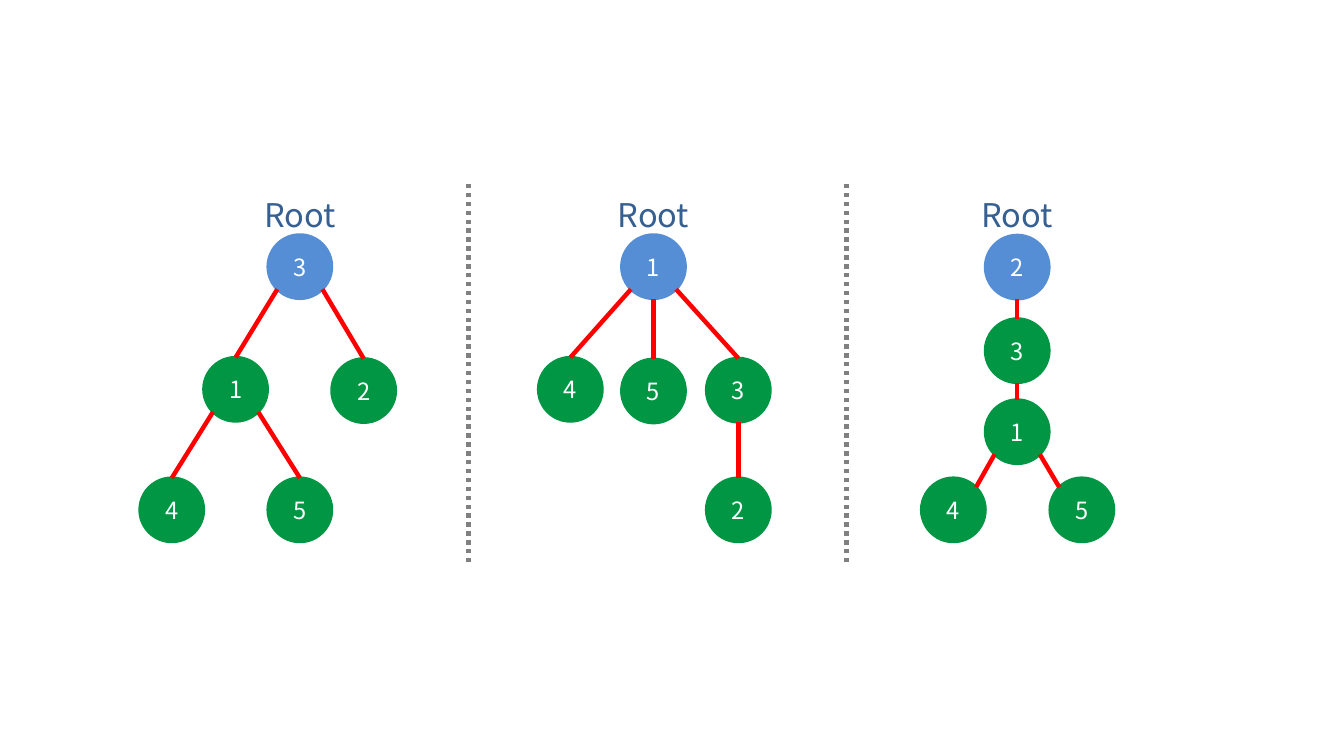
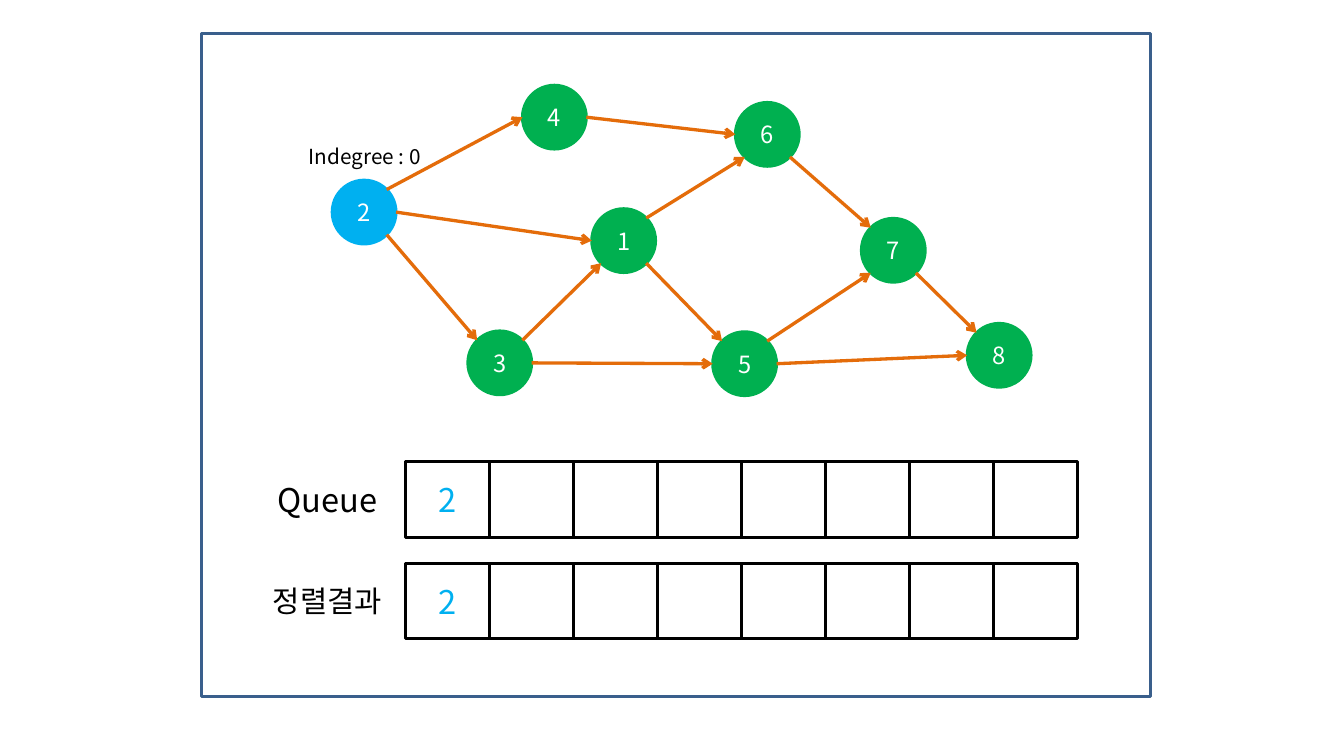
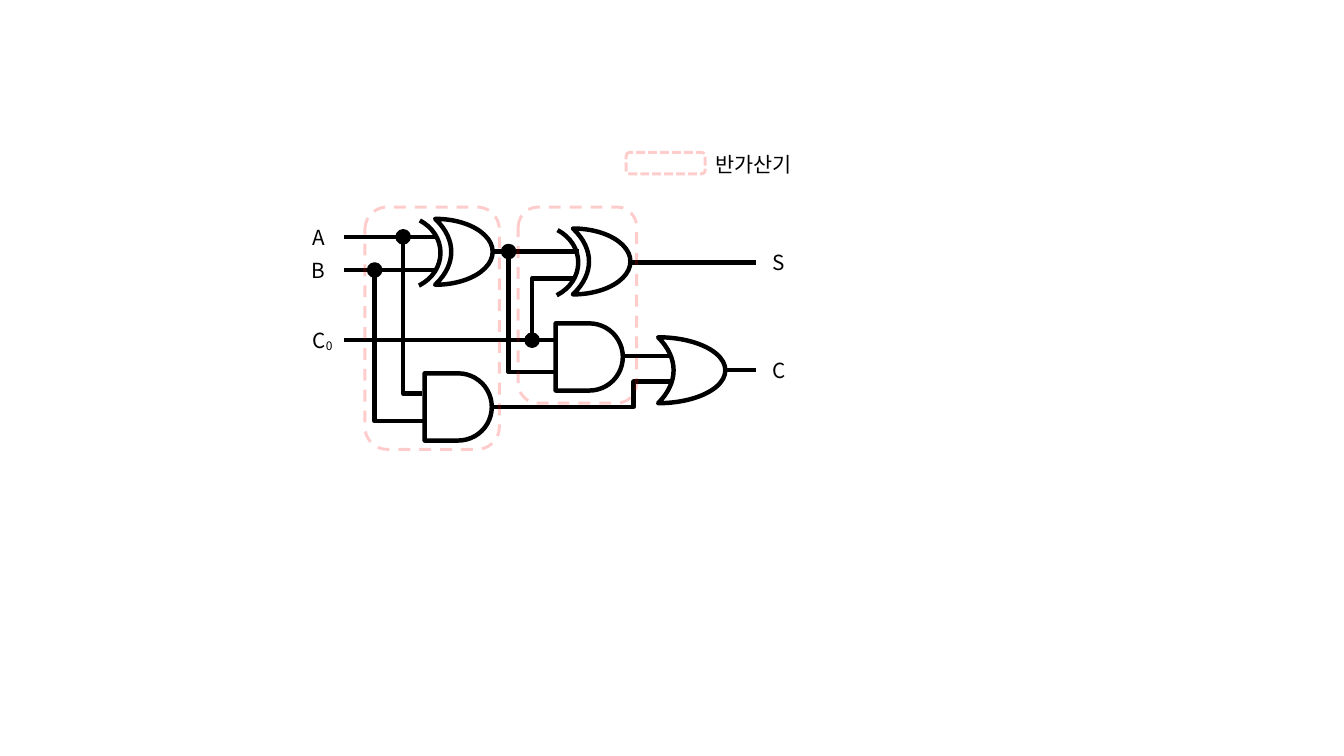
from math import cos, radians, sin

from lxml import etree
from pptx import Presentation
from pptx.dml.color import RGBColor
from pptx.enum.dml import MSO_LINE
from pptx.enum.shapes import MSO_CONNECTOR, MSO_SHAPE
from pptx.enum.text import MSO_ANCHOR, PP_ALIGN
from pptx.oxml.ns import qn
from pptx.util import Cm, Pt

FONT = "Noto Sans CJK KR"
COLORS = {
    "root": "558ED5",
    "tree_node": "009644",
    "edge": "FF0000",
    "root_label": "376092",
    "divider": "808080",
    "graph_node": "00B050",
    "active": "00B0F0",
    "arrow": "E46C0A",
    "frame": "3A5F8C",
    "half_adder": "FF0000",
    "black": "000000",
    "white": "FFFFFF",
}
STRAIGHT = MSO_CONNECTOR.STRAIGHT
ELBOW = MSO_CONNECTOR.ELBOW
OVAL = MSO_SHAPE.OVAL
RECTANGLE = MSO_SHAPE.RECTANGLE
ROUNDED = MSO_SHAPE.ROUNDED_RECTANGLE
AND_GATE = MSO_SHAPE.FLOWCHART_DELAY
MOON = MSO_SHAPE.MOON
ARC = MSO_SHAPE.ARC
DASH = MSO_LINE.DASH
SHORT_DASH = MSO_LINE.SQUARE_DOT
DOTTED = MSO_LINE.ROUND_DOT
CENTER = PP_ALIGN.CENTER
MIDDLE = MSO_ANCHOR.MIDDLE

RADIUS = 0.76
TOP, TOP_LEFT, LEFT, BOTTOM_LEFT, BOTTOM, BOTTOM_RIGHT, RIGHT, TOP_RIGHT = range(8)

TREES = [
    (
        {"3": (7.14, 6.35), "1": (5.61, 9.27), "2": (8.66, 9.3),
         "4": (4.09, 12.14), "5": (7.14, 12.14)},
        [("3", BOTTOM_LEFT, "1", TOP), ("3", BOTTOM_RIGHT, "2", TOP),
         ("1", BOTTOM_LEFT, "4", TOP), ("1", BOTTOM_RIGHT, "5", TOP)],
    ),
    (
        {"1": (15.56, 6.35), "4": (13.58, 9.27), "5": (15.56, 9.31),
         "3": (17.58, 9.29), "2": (17.58, 12.14)},
        [("1", BOTTOM_LEFT, "4", TOP), ("1", BOTTOM, "5", TOP),
         ("1", BOTTOM_RIGHT, "3", TOP), ("3", BOTTOM, "2", TOP)],
    ),
    (
        {"2": (24.22, 6.36), "3": (24.22, 8.35), "1": (24.22, 10.28),
         "4": (22.7, 12.14), "5": (25.76, 12.14)},
        [("2", BOTTOM, "3", TOP), ("3", BOTTOM, "1", TOP),
         ("1", BOTTOM_LEFT, "4", TOP_RIGHT), ("1", BOTTOM_RIGHT, "5", TOP_LEFT)],
    ),
]
GRAPH_NODES = {
    "2": (8.67, 5.05), "1": (14.85, 5.73), "3": (11.9, 8.64), "4": (13.2, 2.79),
    "6": (18.27, 3.2), "5": (17.73, 8.66), "8": (23.79, 8.46), "7": (21.27, 5.96),
}
GRAPH_EDGES = [
    ("2", RIGHT, "1", LEFT), ("2", TOP_RIGHT, "4", LEFT),
    ("2", BOTTOM_RIGHT, "3", TOP_LEFT), ("4", RIGHT, "6", LEFT),
    ("1", TOP_RIGHT, "6", BOTTOM_LEFT), ("1", BOTTOM_RIGHT, "5", TOP_LEFT),
    ("3", TOP_RIGHT, "1", BOTTOM_LEFT), ("3", RIGHT, "5", LEFT),
    ("6", BOTTOM_RIGHT, "7", TOP_LEFT), ("5", TOP_RIGHT, "7", BOTTOM_LEFT),
    ("5", RIGHT, "8", LEFT), ("7", BOTTOM_RIGHT, "8", TOP_LEFT),
]
WIRES = [
    (8.2, 10.36, 5.64), (8.2, 10.36, 6.43), (8.2, 13.21, 8.1), (15.01, 18.01, 6.25),
    (11.71, 13.79, 5.99), (14.83, 15.95, 8.48), (17.27, 18.01, 8.81),
]
BENT_WIRES = [
    ((9.07, 5.64), (10.06, 9.37), 9.6),
    ((8.81, 6.43), (10.08, 10.03), 8.92),
    ((11.73, 5.99), (13.23, 8.86), 12.11),
    ((12.19, 8.1), (13.67, 6.63), 12.67),
    ((11.73, 9.69), (15.95, 9.09), 15.09),
]
JUNCTIONS = [(9.6, 5.64), (8.92, 6.43), (12.11, 5.99), (12.67, 8.1)]
PIN_LABELS = [
    ("A", 7.58, 5.64), ("B", 7.58, 6.43), ("S", 18.55, 6.25), ("C", 18.55, 8.81),
]
HALF_ADDERS = [
    (8.69, 4.93, 3.2, 5.77, DASH),
    (12.34, 4.93, 2.82, 4.67, DASH),
    (14.91, 3.63, 1.88, 0.51, SHORT_DASH),
]


def rgb(name):
    return RGBColor.from_string(COLORS[name])


def format_text(text_frame, size, color):
    text_frame.word_wrap = True
    text_frame.vertical_anchor = MIDDLE
    text_frame.margin_left = text_frame.margin_right = 0
    text_frame.margin_top = text_frame.margin_bottom = 0
    paragraph = text_frame.paragraphs[0]
    paragraph.alignment = CENTER
    for run in paragraph.runs:
        run.font.size = Pt(size)
        run.font.color.rgb = rgb(color)
        run.font.name = FONT
        properties = run.font._element
        etree.SubElement(properties, qn("a:ea"), typeface=FONT)


def add_label(slide, text, center_x, center_y, width, size, color="black", height=0.9):
    box = slide.shapes.add_textbox(
        Cm(center_x - width / 2), Cm(center_y - height / 2), Cm(width), Cm(height))
    box.text_frame.text = text
    format_text(box.text_frame, size, color)
    return box


def add_outline(slide, kind, left, top, width, height, line, weight=2, fill=None):
    shape = slide.shapes.add_shape(kind, Cm(left), Cm(top), Cm(width), Cm(height))
    shape.shadow.inherit = False
    shape.line.color.rgb = rgb(line)
    shape.line.width = Pt(weight)
    if fill:
        shape.fill.solid()
        shape.fill.fore_color.rgb = rgb(fill)
    else:
        shape.fill.background()
    return shape


def add_circle(slide, center, radius, color):
    x, y = center
    return add_outline(slide, OVAL, x - radius, y - radius, 2 * radius, 2 * radius,
                       color, fill=color)


def add_line(slide, start, end, color, weight=3, kind=STRAIGHT):
    connector = slide.shapes.add_connector(kind, *(Cm(value) for value in (*start, *end)))
    connector.line.color.rgb = rgb(color)
    connector.line.width = Pt(weight)
    etree.SubElement(connector._element.spPr, qn("a:effectLst"))
    return connector


def add_nodes(slide, centers, first_color, other_color):
    nodes = {}
    for name, center in centers.items():
        node = add_circle(slide, center, RADIUS, other_color if nodes else first_color)
        node.text_frame.text = name
        format_text(node.text_frame, 16, "white")
        nodes[name] = node
    return nodes


def site_point(center, site):
    angle = radians(90 + 45 * site)
    return center[0] + RADIUS * cos(angle), center[1] - RADIUS * sin(angle)


def add_edges(slide, centers, nodes, edges, color, weight, arrow=False):
    for source, source_site, target, target_site in edges:
        connector = add_line(slide, site_point(centers[source], source_site),
                             site_point(centers[target], target_site), color, weight)
        joints = connector._element.nvCxnSpPr.cNvCxnSpPr
        for tag, name, site in (("a:stCxn", source, source_site),
                                ("a:endCxn", target, target_site)):
            etree.SubElement(joints, qn(tag), id=str(nodes[name].shape_id), idx=str(site))
        if arrow:
            line = connector._element.spPr.find(qn("a:ln"))
            etree.SubElement(line, qn("a:tailEnd"), type="arrow")


def add_cell_row(slide, label, label_size, top):
    left, width, height = 9.65, 2, 1.8
    add_label(slide, label, 7.8, top + height / 2, 3.2, label_size, height=1.2)
    for column in range(8):
        cell = add_outline(slide, RECTANGLE, left + column * width, top, width, height, "black")
        if column == 0:
            cell.text_frame.text = "2"
            format_text(cell.text_frame, 22, "active")


def add_bent_wire(slide, start, end, bend_x):
    connector = add_line(slide, start, end, "black", kind=ELBOW)
    ratio = (bend_x - start[0]) / (end[0] - start[0])
    guides = connector._element.spPr.find(qn("a:prstGeom")).get_or_add_avLst()
    etree.SubElement(guides, qn("a:gd"), name="adj1", fmla=f"val {round(ratio * 100000)}")


def add_or_gate(slide, left, top, width, adjustment):
    gate = add_outline(slide, MOON, left, top, width, 1.57, "black", 3)
    gate.rotation = 180
    gate.adjustments[0] = adjustment


def add_xor_gate(slide, left, top):
    add_or_gate(slide, left, top, 1.37, 0.72)
    arc = add_outline(slide, ARC, left - 1.85, top - 0.08, 1.98, 1.78, "black", 3)
    arc.adjustments[0] = 181.7
    arc.adjustments[1] = 35.19


def add_half_adder(slide, left, top, width, height, dash):
    shape = add_outline(slide, ROUNDED, left, top, width, height, "half_adder")
    shape.line.dash_style = dash
    color = shape._element.spPr.find(qn("a:ln")).find(".//" + qn("a:srgbClr"))
    etree.SubElement(color, qn("a:alpha"), val="20000")


def build_trees(slide):
    for centers, edges in TREES:
        nodes = add_nodes(slide, centers, "root", "tree_node")
        add_edges(slide, centers, nodes, edges, "edge", 3)
        root_x, root_y = next(iter(centers.values()))
        add_label(slide, "Root", root_x, root_y - 1.25, 2.64, 22, "root_label", 1)
    for x in (11.15, 20.16):
        divider = add_line(slide, (x, 13.39), (x, 4.39), "divider")
        divider.line.dash_style = DOTTED


def build_topological_sort(slide):
    nodes = add_nodes(slide, GRAPH_NODES, "active", "graph_node")
    add_edges(slide, GRAPH_NODES, nodes, GRAPH_EDGES, "arrow", 2.25, arrow=True)
    add_label(slide, "Indegree : 0", 8.69, 3.73, 3.86, 14)
    add_cell_row(slide, "Queue", 22, 11)
    add_cell_row(slide, "정렬결과", 20, 13.41)
    add_outline(slide, RECTANGLE, 4.8, 0.79, 22.6, 15.8, "frame")


def build_full_adder(slide):
    for start_x, end_x, y in WIRES:
        add_line(slide, (start_x, y), (end_x, y), "black")
    for start, end, bend_x in BENT_WIRES:
        add_bent_wire(slide, start, end, bend_x)
    for center in JUNCTIONS:
        add_circle(slide, center, 0.15, "black")
    for left, top in ((10.11, 8.89), (13.23, 7.7)):
        add_outline(slide, AND_GATE, left, top, 1.6, 1.6, "black", 3)
    for left, top in ((10.36, 5.21), (13.64, 5.44)):
        add_xor_gate(slide, left, top)
    add_or_gate(slide, 15.67, 8.03, 1.6, 0.77)
    for text, x, y in PIN_LABELS:
        add_label(slide, text, x, y, 0.9, 14)
    carry = add_label(slide, "C", 7.68, 8.1, 1.1, 14)
    subscript = carry.text_frame.paragraphs[0].add_run()
    subscript.text = "0"
    subscript.font._element.set("baseline", "-10000")
    format_text(carry.text_frame, 14, "black")
    for half_adder in HALF_ADDERS:
        add_half_adder(slide, *half_adder)
    legend = add_label(slide, "반가산기", 18.13, 3.91, 2.2, 14)
    legend.text_frame.paragraphs[0].alignment = PP_ALIGN.LEFT


def main():
    presentation = Presentation()
    presentation.slide_width = Cm(32)
    presentation.slide_height = Cm(18)
    blank_layout = presentation.slide_layouts[6]
    for build in (build_trees, build_topological_sort, build_full_adder):
        build(presentation.slides.add_slide(blank_layout))
    presentation.save("out.pptx")


if __name__ == "__main__":
    main()
